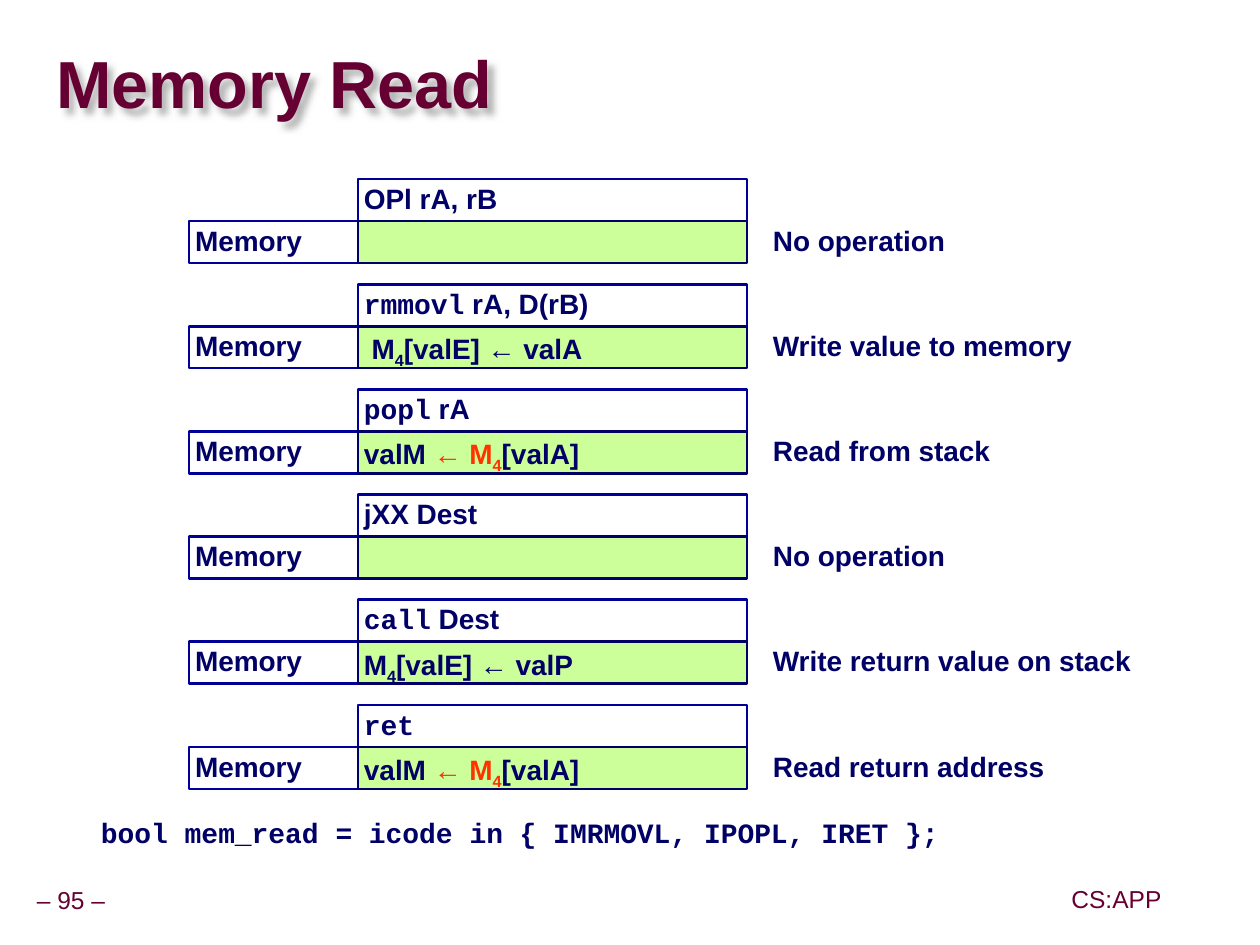
from lxml import etree
from pptx import Presentation
from pptx.dml.color import RGBColor
from pptx.enum.shapes import MSO_SHAPE
from pptx.enum.text import MSO_ANCHOR, PP_ALIGN
from pptx.oxml.ns import qn
from pptx.util import Emu, Pt

RECTANGLE = MSO_SHAPE.RECTANGLE
TOP, MIDDLE = MSO_ANCHOR.TOP, MSO_ANCHOR.MIDDLE
LEFT, CENTER = PP_ALIGN.LEFT, PP_ALIGN.CENTER
PX = 914400 // 126
SANS, MONO = "Arial", "Courier New"
COLORS = {"maroon": "660033", "navy": "000066", "outline": "000099",
          "green": "CCFF99", "red": "FF3300", "shadow": "808080"}

# Content: a run is a string, or a string with its own format
SUBSCRIPT = {"baseline": -25000}
READ_STACK = ["valM ", ("← M", {"color": "red"}),
              ("4", {"color": "red", **SUBSCRIPT}), "[valA]"]
TITLE = "Memory Read"
STAGES = [  # instruction, memory action, meaning
    (["OPl rA, rB"], [], "No operation"),
    ([("rmmovl", {"font": MONO}), " rA, D(rB)"],
     [" M", ("4", SUBSCRIPT), "[valE] ← valA"], "Write value to memory"),
    ([("popl", {"font": MONO}), " rA"], READ_STACK, "Read from stack"),
    (["jXX Dest"], [], "No operation"),
    ([("call", {"font": MONO}), " Dest"],
     ["M", ("4", SUBSCRIPT), "[valE] ← valP"], "Write return value on stack"),
    ([("ret", {"font": MONO})], READ_STACK, "Read return address"),
]
HCL_CODE = "bool mem_read = icode in { IMRMOVL, IPOPL, IRET };"
FOOTERS = [("– 95 –", (29, 882, 84, 40)), ("CS:APP", (1065, 881, 103, 40))]

# Layout in px
FIRST_TOP, PITCH, ROW = 179, 105.2, 42
LABEL_X, LABEL_WIDTH = 189, 169
CELL_X, CELL_WIDTH = LABEL_X + LABEL_WIDTH, 389
NOTE_X = 767


def px(value):
    return Emu(round(value * PX))


def rgb(name):
    return RGBColor.from_string(COLORS[name])


def write(shape, runs, size=16, font=SANS, color="navy", bold=True,
          anchor=TOP, align=LEFT, spacing=0.9, inset=6, wrap=True):
    frame = shape.text_frame
    frame.word_wrap = wrap
    frame.vertical_anchor = anchor
    frame.margin_left = frame.margin_right = px(inset)
    frame.margin_top = frame.margin_bottom = px(inset)
    paragraph = frame.paragraphs[0]
    paragraph.alignment = align
    paragraph.line_spacing = spacing
    for item in runs:
        text, own = (item, {}) if isinstance(item, str) else item
        run = paragraph.add_run()
        run.text = text
        run.font.size = Pt(size)
        run.font.bold = bold
        run.font.name = own.get("font", font)
        run.font.color.rgb = rgb(own.get("color", color))
        if "baseline" in own:
            run.font._element.set("baseline", str(own["baseline"]))


def add_text(slide, box, runs, **style):
    shape = slide.shapes.add_textbox(*map(px, box))
    write(shape, runs, **style)


def add_cell(slide, box, runs, fill=None, line="outline", **style):
    shape = slide.shapes.add_shape(RECTANGLE, *map(px, box))
    shape.shadow.inherit = False
    if fill:
        shape.fill.solid()
        shape.fill.fore_color.rgb = rgb(fill)
    else:
        shape.fill.background()
    shape.line.color.rgb = rgb(line)
    shape.line.width = Pt(1.5)
    if runs:
        write(shape, runs, **style)


def add_shadow(shape):
    effects = etree.SubElement(shape._element.spPr, qn("a:effectLst"))
    shadow = etree.SubElement(effects, qn("a:outerShdw"), blurRad="50800",
                              dist="53882", dir="2700000")
    color = etree.SubElement(shadow, qn("a:srgbClr"), val=COLORS["shadow"])
    etree.SubElement(color, qn("a:alpha"), val="60000")


def main():
    presentation = Presentation()
    presentation.slide_width, presentation.slide_height = px(1260), px(945)
    slide = presentation.slides.add_slide(presentation.slide_layouts[5])

    # Title
    title = slide.shapes.title
    title.left, title.top, title.width, title.height = map(px, (56, 34, 1200, 107))
    write(title, [TITLE], size=38, color="maroon", anchor=MIDDLE,
          spacing=0.87, inset=0)
    title.fill.background()
    add_shadow(title)

    # Memory stage of each instruction
    for index, (instruction, action, meaning) in enumerate(STAGES):
        top = FIRST_TOP + index * PITCH
        lower = top + ROW
        add_cell(slide, (CELL_X, top, CELL_WIDTH, ROW), instruction)
        add_cell(slide, (LABEL_X, lower, LABEL_WIDTH, ROW), ["Memory"], anchor=MIDDLE)
        add_cell(slide, (CELL_X, lower, CELL_WIDTH, ROW), action,
                 fill="green", line="navy")
        add_text(slide, (NOTE_X, lower, CELL_WIDTH, ROW), [meaning])

    # Control logic and footers
    add_text(slide, (95, 810, 1104, 47), [HCL_CODE], font=MONO, spacing=1.0)
    for text, box in FOOTERS:
        add_text(slide, box, [text], size=14, color="maroon", bold=False,
                 anchor=MIDDLE, align=CENTER, wrap=False)

    presentation.save("out.pptx")


if __name__ == "__main__":
    main()
